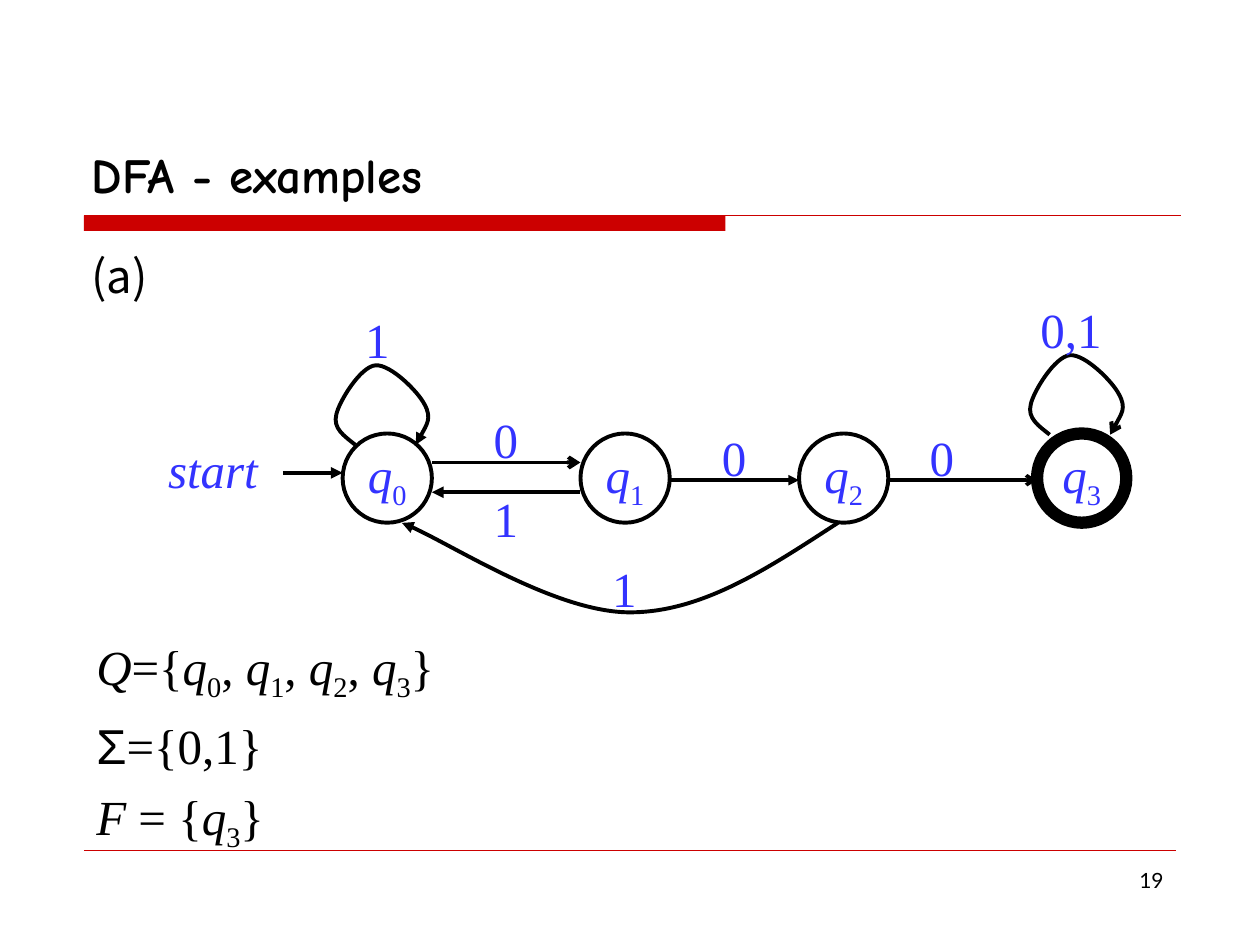
"""Build a slide showing a four-state DFA with its formal sets."""
from dataclasses import dataclass

from lxml.etree import SubElement
from pptx import Presentation
from pptx.dml.color import RGBColor
from pptx.enum.shapes import MSO_CONNECTOR, MSO_SHAPE
from pptx.enum.text import MSO_ANCHOR, PP_ALIGN
from pptx.oxml.ns import qn
from pptx.util import Pt


@dataclass(frozen=True)
class Theme:
    black: str = "000000"
    blue: str = "3333FF"
    red: str = "CC0000"
    math: str = "Times New Roman"
    greek: str = "Arial"
    big: float = 28
    body: float = 26
    small: float = 12
    thin: float = 2
    bold: float = 2.25
    heavy: float = 7
    gap: float = 7


LOOK = Theme()

TITLE = "DFA - examples"
PART = "(a)"
PAGE = "19"

SETS = [
    [("Q", "i"), ("={", ""), ("q", "i"), ("0", "sub"), (", ", ""),
     ("q", "i"), ("1", "sub"), (", ", ""), ("q", "i"), ("2", "sub"),
     (", ", ""), ("q", "i"), ("3", "sub"), ("}", "")],
    [("Σ", "greek"), ("={0,1}", "")],
    [("F", "i"), (" = {", ""), ("q", "i"), ("3", "sub"), ("}", "")],
]

SIZE, TOP = 51, 247.7
STATES = [("0", 195.8, LOOK.bold), ("1", 331.7, LOOK.bold),
          ("2", 456.6, LOOK.bold), ("3", 592.6, LOOK.heavy)]
X0, X1, X2, X3 = [left for _, left, _ in STATES]

MOVES = [
    (X0 + SIZE, X1, 264.3, LOOK.bold, "arrow"),
    (X1 + SIZE, X2, 274.4, LOOK.thin, "triangle"),
    (X2 + SIZE, X3, 274.4, LOOK.thin, "arrow"),
    (X1, X0 + SIZE, 281.3, LOOK.bold, "triangle"),
    (161.6, X0, 270.2, LOOK.bold, "triangle"),
]

BACK = [(478.8, 298.8), (439.9, 324), (401.8, 349.9), (360, 349.9),
        (318.2, 349.9), (251.3, 306.7), (229.7, 298.8)]
LOOP = [(203, 254.2), (196.6, 249.1), (190.1, 244.8), (192.2, 236.9),
        (193.7, 229.7), (205.9, 209.5), (214.6, 208.8), (223.2, 208.1),
        (239, 223.9), (242.6, 231.1), (247, 239), (241.9, 246.2),
        (237.6, 254.2)]
CURVES = [(BACK, "triangle"), (LOOP, "triangle"),
          ([(x + 396.8, y - 5.8) for x, y in LOOP], "arrow")]

LABELS = [
    ("0", 405.4, 240.5, 28, ""), ("0", 524.2, 240.5, 28, ""),
    ("0", 275, 230.4, 28, ""), ("0,1", 581, 167.8, 62, ""),
    ("1", 201.6, 173.5, 28, ""), ("1", 342.7, 315.4, 28, ""),
    ("1", 275, 275.8, 28, ""), ("start", 76.3, 247.7, 90.7, "i"),
]


def color(code):
    return RGBColor.from_string(code)


def write(frame, lines, face, size, ink, align=PP_ALIGN.LEFT, gap=0):
    for i, line in enumerate(lines):
        para = frame.add_paragraph() if i else frame.paragraphs[0]
        para.alignment = align
        para.space_before = Pt(gap)
        para.font.name = face
        para.font.size = Pt(size)
        para.font.color.rgb = color(ink)
        for text, kind in line:
            run = para.add_run()
            run.text = text
            if kind == "i":
                run.font.italic = True
            elif kind == "greek":
                run.font.name = LOOK.greek
            elif kind == "sub":
                run.font._element.set("baseline", "-25000")


def add_text(slide, box, lines, *style, wrap=True, **more):
    frame = slide.shapes.add_textbox(*map(Pt, box)).text_frame
    frame.word_wrap = wrap
    write(frame, lines, *style, **more)
    return frame


def stroke(shape, ink, width, tip=None):
    shape.line.color.rgb = color(ink)
    shape.line.width = Pt(width)
    if tip:
        line = shape.element.spPr.find(qn("a:ln"))
        SubElement(line, qn("a:tailEnd")).set("type", tip)


def add_line(slide, start, end, ink, width, tip=None):
    line = slide.shapes.add_connector(
        MSO_CONNECTOR.STRAIGHT, *map(Pt, start + end))
    stroke(line, ink, width, tip)
    SubElement(line.element.spPr, qn("a:effectLst"))


def add_curve(slide, points, tip):
    spots = [(Pt(x), Pt(y)) for x, y in points]
    form = slide.shapes.build_freeform(*spots[0])
    form.add_line_segments(spots[1:], close=False)
    shape = form.convert_to_shape()
    shape.shadow.inherit = False
    shape.fill.background()
    stroke(shape, LOOK.black, LOOK.bold, tip)
    track = next(shape.element.iter(qn("a:path")))
    legs = track.findall(qn("a:lnTo"))
    for i in range(0, len(legs), 3):
        bend = SubElement(track, qn("a:cubicBezTo"))
        for leg in legs[i:i + 3]:
            bend.append(leg[0])
            track.remove(leg)


def add_state(slide, name, left, width):
    ring = slide.shapes.add_shape(
        MSO_SHAPE.OVAL, Pt(left), Pt(TOP), Pt(SIZE), Pt(SIZE))
    ring.shadow.inherit = False
    ring.fill.background()
    stroke(ring, LOOK.black, width)
    frame = ring.text_frame
    frame.word_wrap = False
    frame.vertical_anchor = MSO_ANCHOR.MIDDLE
    write(frame, [[("q", "i"), (name, "sub")]], LOOK.math, LOOK.big,
          LOOK.blue, PP_ALIGN.CENTER, LOOK.gap)


def add_frame(slide):
    bar = slide.shapes.add_shape(
        MSO_SHAPE.RECTANGLE, Pt(48), Pt(123.2), Pt(366.5), Pt(8.7))
    bar.shadow.inherit = False
    bar.fill.solid()
    bar.fill.fore_color.rgb = color(LOOK.red)
    bar.line.fill.background()
    add_line(slide, (48, 123.2), (674.6, 123.2), LOOK.red, 0.75)
    add_line(slide, (48, 486), (672, 486), LOOK.red, 0.25)
    add_text(slide, (516, 492, 156, 37.4), [[(PAGE, "")]], "Lato",
             LOOK.small, LOOK.black, PP_ALIGN.RIGHT)
    head = add_text(slide, (45.4, 23.8, 630, 95.8), [[(TITLE, "")]],
                    "Comic Neue", LOOK.big, LOOK.black)
    head.vertical_anchor = MSO_ANCHOR.BOTTOM
    head.paragraphs[0].font.bold = True
    add_text(slide, (45, 138.2, 630, 336), [[(PART, "")]],
             "Noto Sans CJK SC", LOOK.body, LOOK.black, gap=6.5)


def main():
    deck = Presentation()
    deck.slide_width, deck.slide_height = Pt(720), Pt(540)
    slide = deck.slides.add_slide(deck.slide_layouts[6])
    add_frame(slide)
    add_text(slide, (48, 360, 329, 131.8), SETS, LOOK.math, LOOK.big,
             LOOK.black, gap=LOOK.gap)
    for state in STATES:
        add_state(slide, *state)
    for start, end, y, width, tip in MOVES:
        add_line(slide, (start, y), (end, y), LOOK.black, width, tip)
    for points, tip in CURVES:
        add_curve(slide, points, tip)
    for text, left, top, width, kind in LABELS:
        add_text(slide, (left, top, width, 41), [[(text, kind)]], LOOK.math,
                 LOOK.big, LOOK.blue, PP_ALIGN.CENTER, LOOK.gap, wrap=False)
    deck.save("out.pptx")


if __name__ == "__main__":
    main()
